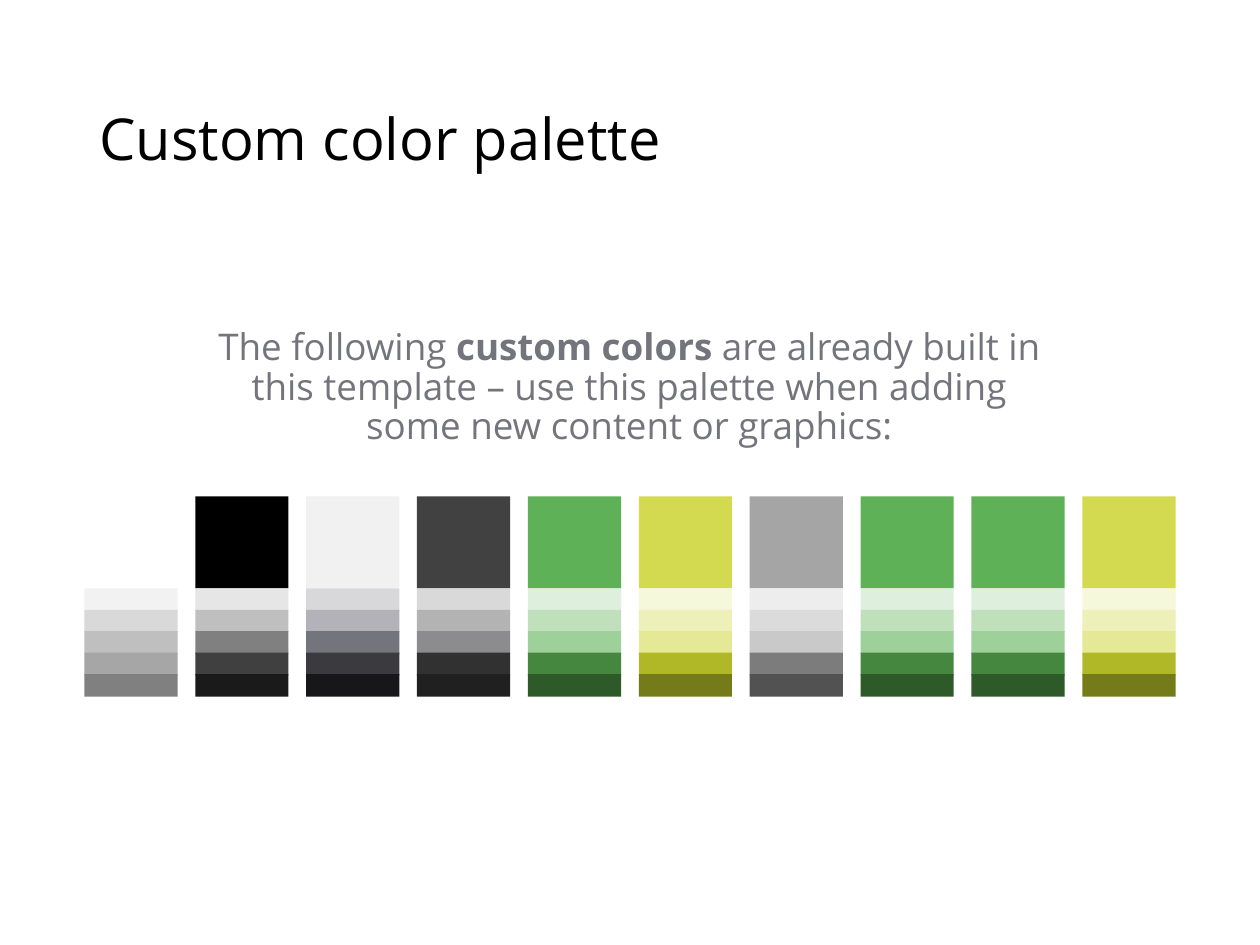
from dataclasses import dataclass

from pptx import Presentation
from pptx.dml.color import RGBColor
from pptx.enum.shapes import MSO_SHAPE
from pptx.enum.text import MSO_ANCHOR, PP_ALIGN
from pptx.util import Inches, Pt


@dataclass(frozen=True)
class Theme:
    font: str = "Open Sans"
    title_size: int = 33
    body_size: int = 21
    title_color: str = "000000"
    body_color: str = "74747D"
    line_spacing: float = 0.9


THEME = Theme()
TITLE = [("Custom color palette", False)]
INTRO = [
    ("The following ", False),
    ("custom colors ", True),
    ("are already built in this template – use this palette "
     "when adding some new content or graphics:", False),
]

GREEN = ("5EB156", ["DFEFDD", "BFE0BB", "9ED09A", "45873E", "2E5A2A"])
LIME = ("D3DA50", ["F6F8DC", "EDF0B9", "E5E996", "B1B827", "767B1A"])
PALETTE = [
    ("FFFFFF", ["F2F2F2", "D9D9D9", "BFBFBF", "A6A6A6", "808080"]),
    ("000000", ["E6E6E6", "BFBFBF", "808080", "404040", "1A1A1A"]),
    ("F1F1F2", ["D8D8DB", "B2B2B8", "74747D", "3A3A3F", "171719"]),
    ("414142", ["D9D9D9", "B3B3B4", "8C8C8E", "313132", "202021"]),
    GREEN,
    LIME,
    ("A5A5A5", ["EDEDED", "DBDBDB", "C9C9C9", "7C7C7C", "525252"]),
    GREEN,
    GREEN,
    LIME,
]

PALETTE_LEFT, PALETTE_TOP = 0.67, 3.94
COLUMN_PITCH, SWATCH_WIDTH, SWATCH_HEIGHT = 0.88, 0.74, 0.73
TINT_PITCH, TINT_HEIGHT = 0.17, 0.18


def add_text(slide, box, runs, size, color, alignment, anchor):
    shape = slide.shapes.add_textbox(*map(Inches, box))
    frame = shape.text_frame
    frame.word_wrap = True
    frame.vertical_anchor = anchor
    paragraph = frame.paragraphs[0]
    paragraph.alignment = alignment
    paragraph.line_spacing = THEME.line_spacing
    paragraph.font.name = THEME.font
    paragraph.font.size = Pt(size)
    paragraph.font.color.rgb = RGBColor.from_string(color)
    for text, bold in runs:
        run = paragraph.add_run()
        run.text = text
        run.font.bold = bold


def add_swatch(slide, left, top, height, color):
    shape = slide.shapes.add_shape(
        MSO_SHAPE.RECTANGLE,
        Inches(left), Inches(top), Inches(SWATCH_WIDTH), Inches(height),
    )
    shape.shadow.inherit = False
    shape.fill.solid()
    shape.fill.fore_color.rgb = RGBColor.from_string(color)
    shape.line.fill.background()


def main():
    presentation = Presentation()
    presentation.slide_width = Inches(10)
    presentation.slide_height = Inches(7.5)
    slide = presentation.slides.add_slide(presentation.slide_layouts[6])

    add_text(slide, (0.69, 0.4, 8.62, 1.45), TITLE, THEME.title_size,
             THEME.title_color, PP_ALIGN.LEFT, MSO_ANCHOR.MIDDLE)

    for column, (base, tints) in enumerate(PALETTE):
        left = PALETTE_LEFT + column * COLUMN_PITCH
        add_swatch(slide, left, PALETTE_TOP, SWATCH_HEIGHT, base)
        for row, tint in enumerate(tints):
            top = PALETTE_TOP + SWATCH_HEIGHT + row * TINT_PITCH
            add_swatch(slide, left, top, TINT_HEIGHT, tint)

    add_text(slide, (1.55, 2.56, 6.89, 1.16), INTRO, THEME.body_size,
             THEME.body_color, PP_ALIGN.CENTER, MSO_ANCHOR.TOP)

    presentation.save("out.pptx")


if __name__ == "__main__":
    main()
